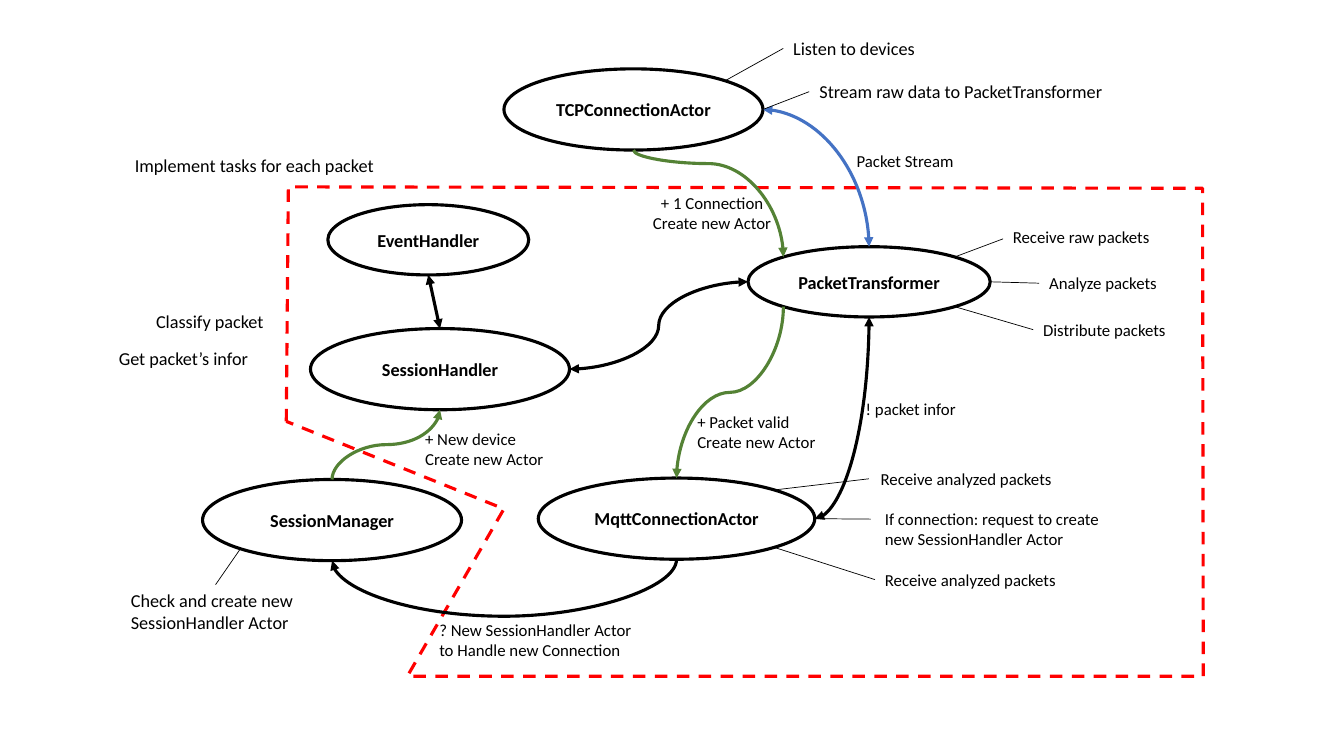
from lxml.etree import SubElement
from pptx import Presentation
from pptx.dml.color import RGBColor
from pptx.enum.dml import MSO_LINE
from pptx.enum.shapes import MSO_CONNECTOR as Link, MSO_SHAPE
from pptx.enum.text import MSO_ANCHOR, MSO_AUTO_SIZE, PP_ALIGN
from pptx.oxml.ns import qn
from pptx.util import Pt

COLORS = {"ink": "000000", "boundary": "FF0000", "create": "548235", "stream": "4472C4"}
FONT = "Calibri"

prs = Presentation()
prs.slide_width, prs.slide_height = Pt(960), Pt(540)
shapes = prs.slides.add_slide(prs.slide_layouts[6]).shapes


def write(frame, text, size, bold=False, align=PP_ALIGN.LEFT):
    frame.text = text
    for line in frame.paragraphs:
        line.alignment = align
        line.font.name, line.font.size, line.font.bold = FONT, Pt(size), bold
        line.font.color.rgb = RGBColor.from_string(COLORS["ink"])


def connect(kind, start, end, color, weight, arrows=()):
    link = shapes.add_connector(kind, *(Pt(v) for v in (*start, *end)))
    link.line.color.rgb = RGBColor.from_string(COLORS[color])
    link.line.width = Pt(weight)
    for arrow in arrows:
        SubElement(link.line._get_or_add_ln(), qn("a:" + arrow)).set("type", "triangle")
    SubElement(link._element.spPr, qn("a:effectLst"))
    return link


# Boundary of the per-packet tasks
corners = [(204.5, 301), (206, 133.5), (859, 134.5), (859.5, 483), (291, 483), (360, 363.5)]
outline = shapes.build_freeform(Pt(corners[0][0]), Pt(corners[0][1]))
outline.add_line_segments([(Pt(x), Pt(y)) for x, y in corners[1:]], close=True)
boundary = outline.convert_to_shape()
boundary.shadow.inherit = False
boundary.fill.background()
boundary.line.color.rgb = RGBColor.from_string(COLORS["boundary"])
boundary.line.width = Pt(2.25)
boundary.line.dash_style = MSO_LINE.DASH

# Actors: left, top, width, height
actors = {
    "TCPConnectionActor": (360, 49.2, 185, 58),
    "EventHandler": (234.2, 146.2, 143.5, 50.2),
    "MqttConnectionActor": (384.5, 341.5, 197.5, 58),
    "PacketTransformer": (534.3, 176.2, 173, 50.2),
    "SessionManager": (144.7, 342.5, 185, 58),
    "SessionHandler": (221.8, 234.7, 185, 58),
}
# Eight connection sites on each ellipse, by compass direction
COMPASS = {"n": (0.5, 0), "ne": (0.854, 0.146), "e": (1, 0.5), "se": (0.854, 0.854),
           "s": (0.5, 1), "sw": (0.146, 0.854), "w": (0, 0.5), "nw": (0.146, 0.146)}
sites = {}
for name, (left, top, width, height) in actors.items():
    actor = shapes.add_shape(MSO_SHAPE.OVAL, Pt(left), Pt(top), Pt(width), Pt(height))
    actor.shadow.inherit = False
    actor.fill.background()
    actor.line.color.rgb = RGBColor.from_string(COLORS["ink"])
    actor.line.width = Pt(2.25)
    actor.text_frame.vertical_anchor = MSO_ANCHOR.MIDDLE
    actor.text_frame.word_wrap = False
    write(actor.text_frame, name, 13, True, PP_ALIGN.CENTER)
    for side, (fx, fy) in COMPASS.items():
        sites[name, side] = (left + fx * width, top + fy * height)

# Messages between actors: from, to, colour, arrows, preset, bend in percent
BOTH, FORWARD = ("headEnd", "tailEnd"), ("tailEnd",)
messages = [
    (("TCPConnectionActor", "e"), ("PacketTransformer", "n"), "stream", BOTH, 2, None),
    (("PacketTransformer", "s"), ("MqttConnectionActor", "e"), "ink", BOTH, 2, None),
    (("MqttConnectionActor", "s"), ("SessionManager", "s"), "ink", FORWARD, 3, 4100),
    (("TCPConnectionActor", "s"), ("PacketTransformer", "nw"), "create", FORWARD, 3, 12.6),
    (("PacketTransformer", "sw"), ("MqttConnectionActor", "n"), "create", FORWARD, 3, 50),
    (("SessionHandler", "e"), ("PacketTransformer", "w"), "ink", BOTH, 3, 50),
    (("SessionManager", "n"), ("SessionHandler", "s"), "create", FORWARD, 3, 50),
]
for source, target, color, arrows, preset, bend in messages:
    (x1, y1), (x2, y2) = sites[source], sites[target]
    curve = connect(Link.CURVE, (x1, y1), (x2, y2), color, 2.25, arrows)
    geometry = curve._element.spPr.find(qn("a:prstGeom"))
    geometry.set("prst", f"curvedConnector{preset}")
    if bend is not None:
        guides = geometry.find(qn("a:avLst"))
        SubElement(guides, qn("a:gd"), name="adj1", fmla=f"val {round(bend * 1000)}")
    if source[1] != "e":
        # Leaves vertically: turn the frame a quarter about its centre
        across, down = abs(x2 - x1), abs(y2 - y1)
        curve.left, curve.top = Pt((x1 + x2 - down) / 2), Pt((y1 + y2 - across) / 2)
        curve.width, curve.height = Pt(down), Pt(across)
        frame = curve._element.spPr.find(qn("a:xfrm"))
        frame.set("rot", "5400000")
        frame.set("flipH", str(int(y2 < y1)))
        frame.set("flipV", str(int(x2 > x1)))

connect(Link.STRAIGHT, sites["EventHandler", "s"], sites["SessionHandler", "n"],
        "ink", 2.25, BOTH)

# Thin leaders from actors to their duties
leaders = [
    ("TCPConnectionActor", "ne", (559.5, 34.6)),
    ("TCPConnectionActor", "e", (578, 65.5)),
    ("PacketTransformer", "ne", (716.5, 170.6)),
    ("PacketTransformer", "e", (742.3, 202.3)),
    ("PacketTransformer", "se", (738, 235.5)),
    ("MqttConnectionActor", "ne", (620.6, 342)),
    ("MqttConnectionActor", "e", (622, 370.8)),
    ("MqttConnectionActor", "se", (625, 414)),
    ("SessionManager", "sw", (154, 417.6)),
]
for name, side, end in leaders:
    connect(Link.STRAIGHT, sites[name, side], end, "ink", 0.5)

# Labels: text, left, top, width, size
labels = [
    ("Packet Stream", 604.8, 104.4, 85, 12),
    ("+ 1 Connection\nCreate new Actor", 444.2, 133.9, 129, 12),
    ("! packet infor", 611.3, 281.5, 79, 12),
    ("+ Packet valid\nCreate new Actor", 491, 290.2, 100, 12),
    ("? New SessionHandler Actor \nto Handle new Connection", 306.7, 439.2, 156, 12),
    ("+ New device\nCreate new Actor", 296.6, 302.4, 100, 12),
    ("Receive raw packets", 716.4, 158.4, 114, 12),
    ("Analyze packets", 742.3, 191.5, 92, 12),
    ("Distribute packets", 738, 224.6, 103, 12),
    ("Receive analyzed packets", 622, 331.2, 138, 12),
    ("If connection: request to create \nnew SessionHandler Actor ", 625, 360, 172, 12),
    ("Receive analyzed packets", 625, 403.2, 138, 12),
    ("Check and create new \nSessionHandler Actor", 86.4, 417.6, 135.4, 13),
    ("Listen to devices", 559.5, 23, 103, 13),
    ("Stream raw data to PacketTransformer ", 578.2, 54, 222.5, 13),
    ("Implement tasks for each packet", 89.3, 106.6, 188, 13),
    ("Classify packet", 104.4, 218.2, 92, 13),
    ("Get packet’s infor", 77.8, 244.8, 108, 13),
]
for text, left, top, width, size in labels:
    height = 7.2 + 1.2 * size * (text.count("\n") + 1)
    label = shapes.add_textbox(Pt(left), Pt(top), Pt(width), Pt(height)).text_frame
    centered = text.startswith("+ 1")
    label.word_wrap = centered
    label.auto_size = MSO_AUTO_SIZE.SHAPE_TO_FIT_TEXT
    write(label, text, size, align=PP_ALIGN.CENTER if centered else PP_ALIGN.LEFT)

prs.save("out.pptx")
